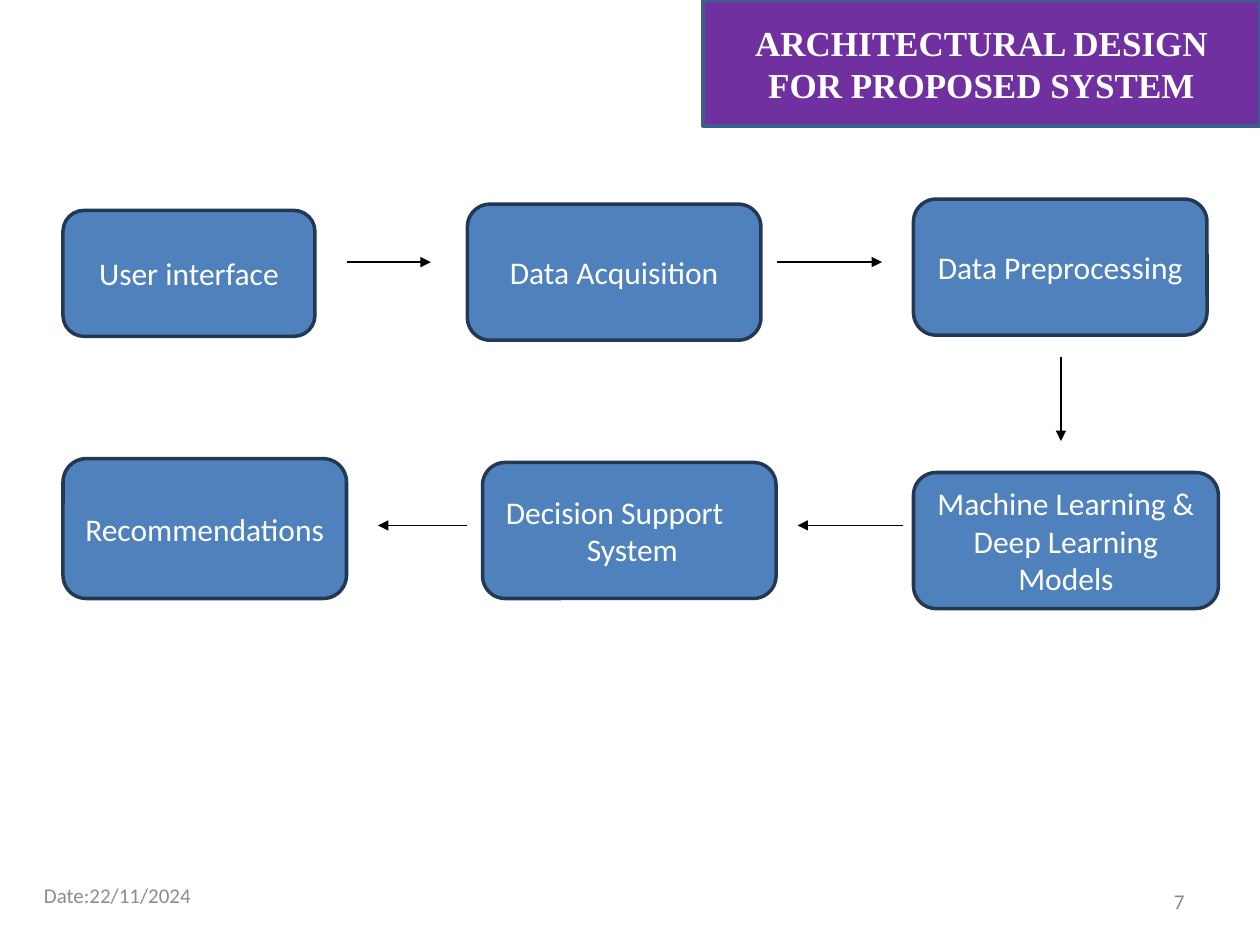
from lxml import etree
from pptx import Presentation
from pptx import util as u
from pptx.dml.color import RGBColor
from pptx.enum import shapes, text
from pptx.oxml.ns import qn

WHITE = RGBColor(0xFF, 0xFF, 0xFF)
BLACK = RGBColor(0x00, 0x00, 0x00)
PURPLE = RGBColor(0x70, 0x30, 0xA0)
TITLE_EDGE = RGBColor(0x3A, 0x5F, 0x8C)
BLUE = RGBColor(0x4F, 0x81, 0xBD)
NAVY = RGBColor(0x23, 0x39, 0x53)
DATE_GREY = RGBColor(0x8C, 0x8C, 0x8C)
NUMBER_GREY = RGBColor(0x89, 0x89, 0x89)

ALIGN = text.PP_ALIGN


class FlowSlide:
    font = "Calibri"
    title_font = "Times New Roman"
    edge = u.Pt(2)

    def __init__(self, prs):
        self.s = prs.slides.add_slide(prs.slide_layouts[5])

    def set_text(self, sp, words, size, color, align, font=None, bold=False):
        tf = sp.text_frame
        tf.text = words
        tf.word_wrap = True
        tf.auto_size = text.MSO_AUTO_SIZE.NONE
        tf.vertical_anchor = text.MSO_ANCHOR.MIDDLE
        for p in tf.paragraphs:
            p.alignment = align
            for r in p.runs:
                r.font.name = font or self.font
                r.font.size = u.Pt(size)
                r.font.bold = bold
                r.font.color.rgb = color

    def paint(self, sp, fill, line):
        sp.fill.solid()
        sp.fill.fore_color.rgb = fill
        sp.line.color.rgb = line
        sp.line.width = self.edge

    def title(self, words, x, y, w, h):
        sp = self.s.shapes.title
        sp.left, sp.top, sp.width, sp.height = map(u.Inches, (x, y, w, h))
        self.paint(sp, PURPLE, TITLE_EDGE)
        self.set_text(sp, words, 20, WHITE, ALIGN.CENTER, self.title_font, True)

    def box(self, words, x, y, w, h):
        sp = self.s.shapes.add_shape(shapes.MSO_SHAPE.ROUNDED_RECTANGLE,
                                     *map(u.Inches, (x, y, w, h)))
        sp.shadow.inherit = False
        self.paint(sp, BLUE, NAVY)
        self.set_text(sp, words, 18, WHITE, ALIGN.CENTER)
        return sp

    def label(self, words, x, y, w, h, color, align):
        sp = self.s.shapes.add_textbox(*map(u.Inches, (x, y, w, h)))
        self.set_text(sp, words, 12, color, align)

    def arrow(self, x1, y1, x2, y2):
        c = self.s.shapes.add_connector(shapes.MSO_CONNECTOR.STRAIGHT,
                                        *map(u.Inches, (x1, y1, x2, y2)))
        c.line.color.rgb = BLACK
        c.line.width = u.Pt(0.75)
        props = c._element.spPr
        etree.SubElement(props.find(qn("a:ln")), qn("a:tailEnd"), type="triangle")
        etree.SubElement(props, qn("a:effectLst"))


def main():
    prs = Presentation()
    prs.slide_width, prs.slide_height = u.Inches(10), u.Inches(7.5)
    flow = FlowSlide(prs)

    flow.title("ARCHITECTURAL DESIGN FOR PROPOSED SYSTEM", 5.58, 0, 4.42, 1)
    flow.label("Date:22/11/2024", 0.25, 6.85, 9.42, 0.51, DATE_GREY, ALIGN.JUSTIFY)
    flow.label("7", 7.17, 6.95, 2.33, 0.4, NUMBER_GREY, ALIGN.RIGHT)

    flow.box("User interface", 0.5, 1.67, 2, 1)
    flow.box("Data Acquisition", 3.71, 1.62, 2.33, 1.08)
    flow.box("Data Preprocessing", 7.25, 1.58, 2.33, 1.08)
    flow.box("Machine Learning & Deep Learning Models", 7.25, 3.75, 2.42, 1.08)
    support = flow.box("Decision Support\nSystem", 3.83, 3.67, 2.33, 1.08)
    flow.box("Recommendations", 0.5, 3.64, 2.25, 1.11)

    # The first line sits left of centre, the second slightly right of it
    support.text_frame.margin_right = u.Inches(0.33)
    second_line = support.text_frame.paragraphs[1]
    second_line._p.get_or_add_pPr().set("marL", str(u.Inches(0.28)))

    top_y, bottom_y, turn_x = 2.08, 4.17, 8.42
    flow.arrow(2.75, top_y, 3.42, top_y)
    flow.arrow(6.17, top_y, 7, top_y)
    flow.arrow(turn_x, 2.83, turn_x, 3.5)
    flow.arrow(7.17, bottom_y, 6.33, bottom_y)
    flow.arrow(3.71, bottom_y, 3, bottom_y)

    prs.save("out.pptx")


if __name__ == "__main__":
    main()
